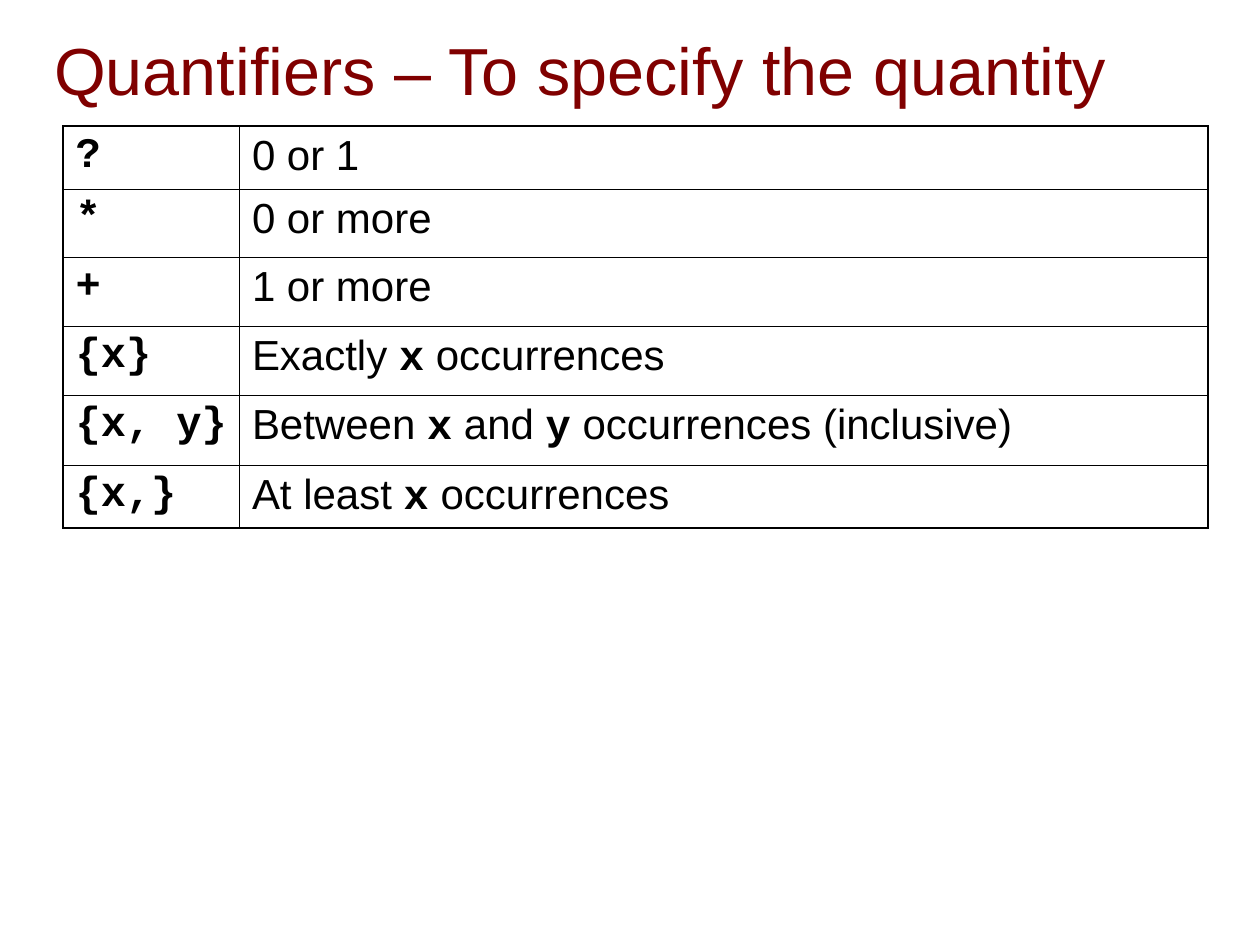
from pptx import Presentation
from pptx.dml.color import RGBColor
from pptx.enum.text import MSO_ANCHOR, PP_ALIGN
from pptx.oxml import parse_xml
from pptx.oxml.ns import nsdecls
from pptx.util import Inches, Pt

MAROON = RGBColor(0x80, 0x00, 0x00)
BLACK = RGBColor(0x00, 0x00, 0x00)
THICK, THIN = Pt(1.08), Pt(0.45)


def add_run(para, text, font, size, color, bold=False):
    run = para.add_run()
    run.text = text
    run.font.name = font
    run.font.size = Pt(size)
    run.font.bold = bold
    run.font.color.rgb = color


def add_edge(cell, side, width):
    cell._tc.get_or_add_tcPr().append(parse_xml(
        f'<a:{side} {nsdecls("a")} w="{width}"><a:solidFill>'
        f'<a:srgbClr val="{BLACK}"/></a:solidFill></a:{side}>'))


deck = Presentation()
deck.slide_width, deck.slide_height = Inches(10), Inches(7.5)
slide = deck.slides.add_slide(deck.slide_layouts[5])

# Title
title = slide.shapes.title
title.left, title.top = Inches(0.33), Inches(0.18)
title.width, title.height = Inches(9.42), Inches(0.74)
frame = title.text_frame
frame.vertical_anchor = MSO_ANCHOR.MIDDLE
para = frame.paragraphs[0]
para.alignment = PP_ALIGN.LEFT
add_run(para, "Quantifiers – To specify the quantity", "Arial", 38, MAROON)

# Quantifier table: each row is a symbol and its meaning,
# with every second piece of the meaning set as code
rows = [
    (0.5, "?", ["0 or 1"]),
    (0.54, "*", ["0 or more"]),
    (0.55, "+", ["1 or more"]),
    (0.55, "{x}", ["Exactly ", "x", " occurrences"]),
    (0.55, "{x, y}",
     ["Between ", "x", " and ", "y", " occurrences (inclusive)"]),
    (0.5, "{x,}", ["At least ", "x", " occurrences"]),
]
last = len(rows) - 1
table = slide.shapes.add_table(len(rows), 2, Inches(0.5), Inches(1),
                               Inches(9.09), Inches(3.19)).table
table.first_row = table.horz_banding = False
table.columns[0].width = Inches(1.4)
table.columns[1].width = Inches(7.69)

for r, (height, symbol, meaning) in enumerate(rows):
    table.rows[r].height = Inches(height)
    for c, parts in enumerate([["", symbol], meaning]):
        cell = table.cell(r, c)
        para = cell.text_frame.paragraphs[0]
        para.space_before = Pt(6)
        for i, part in enumerate(parts):
            code = i % 2 == 1
            if part:
                add_run(para, part, "Courier New" if code else "Arial",
                        24, BLACK, code)
        # Thick outer frame, thin inner rules
        add_edge(cell, "lnL", THICK if c == 0 else THIN)
        add_edge(cell, "lnR", THICK if c == 1 else THIN)
        add_edge(cell, "lnT", THICK if r == 0 else THIN)
        add_edge(cell, "lnB", THICK if r == last else THIN)
        cell.fill.background()

deck.save("out.pptx")
